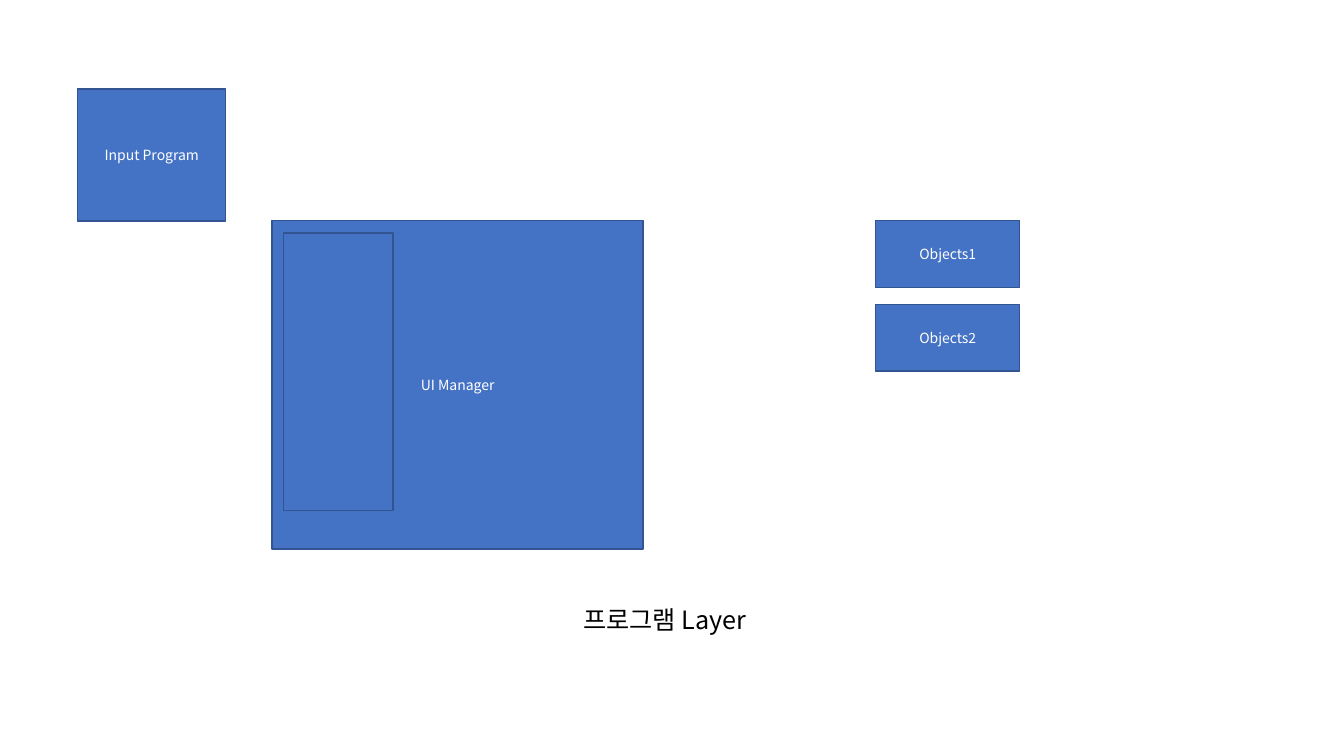
from lxml import etree
from pptx import Presentation
from pptx.dml.color import RGBColor
from pptx.enum.shapes import MSO_SHAPE
from pptx.enum.text import MSO_ANCHOR, MSO_AUTO_SIZE, PP_ALIGN
from pptx.oxml.ns import qn
from pptx.util import Cm, Pt

FONT = "Noto Sans CJK KR"
COLORS = {"fill": "4472C4", "line": "325491", "label": "FFFFFF", "title": "000000"}


def add_text(tf, text, size, color):
    tf.word_wrap = True
    p = tf.paragraphs[0]
    p.alignment = PP_ALIGN.CENTER
    r = p.add_run()
    r.text = text
    r.font.size = Pt(size)
    r.font.name = FONT
    r.font.color.rgb = RGBColor.from_string(COLORS[color])
    ea = etree.SubElement(r.font._element, qn("a:ea"))
    ea.set("typeface", FONT)


prs = Presentation()
prs.slide_width = Cm(33.87)
prs.slide_height = Cm(19.05)
s = prs.slides.add_slide(prs.slide_layouts[6])

title = s.shapes.add_textbox(Cm(8.71), Cm(15.11), Cm(16.08), Cm(1.02))
add_text(title.text_frame, "프로그램 Layer", 18, "title")
title.text_frame.auto_size = MSO_AUTO_SIZE.SHAPE_TO_FIT_TEXT

boxes = [
    ("UI Manager", 6.86, 5.56, 9.35, 8.28),
    ("Input Program", 1.96, 2.24, 3.73, 3.33),
]
for i in range(2):
    boxes.append((f"Objects{i + 1}", 22.07, 5.56 + i * 2.11, 3.63, 1.68))
boxes.append(("", 7.14, 5.87, 2.77, 6.99))

for label, left, top, width, height in boxes:
    sp = s.shapes.add_shape(MSO_SHAPE.RECTANGLE, Cm(left), Cm(top), Cm(width), Cm(height))
    sp.shadow.inherit = False
    sp.fill.solid()
    sp.fill.fore_color.rgb = RGBColor.from_string(COLORS["fill"])
    sp.line.color.rgb = RGBColor.from_string(COLORS["line"])
    sp.line.width = Pt(1)
    if label:
        sp.text_frame.vertical_anchor = MSO_ANCHOR.MIDDLE
        add_text(sp.text_frame, label, 10, "label")

prs.save("out.pptx")
